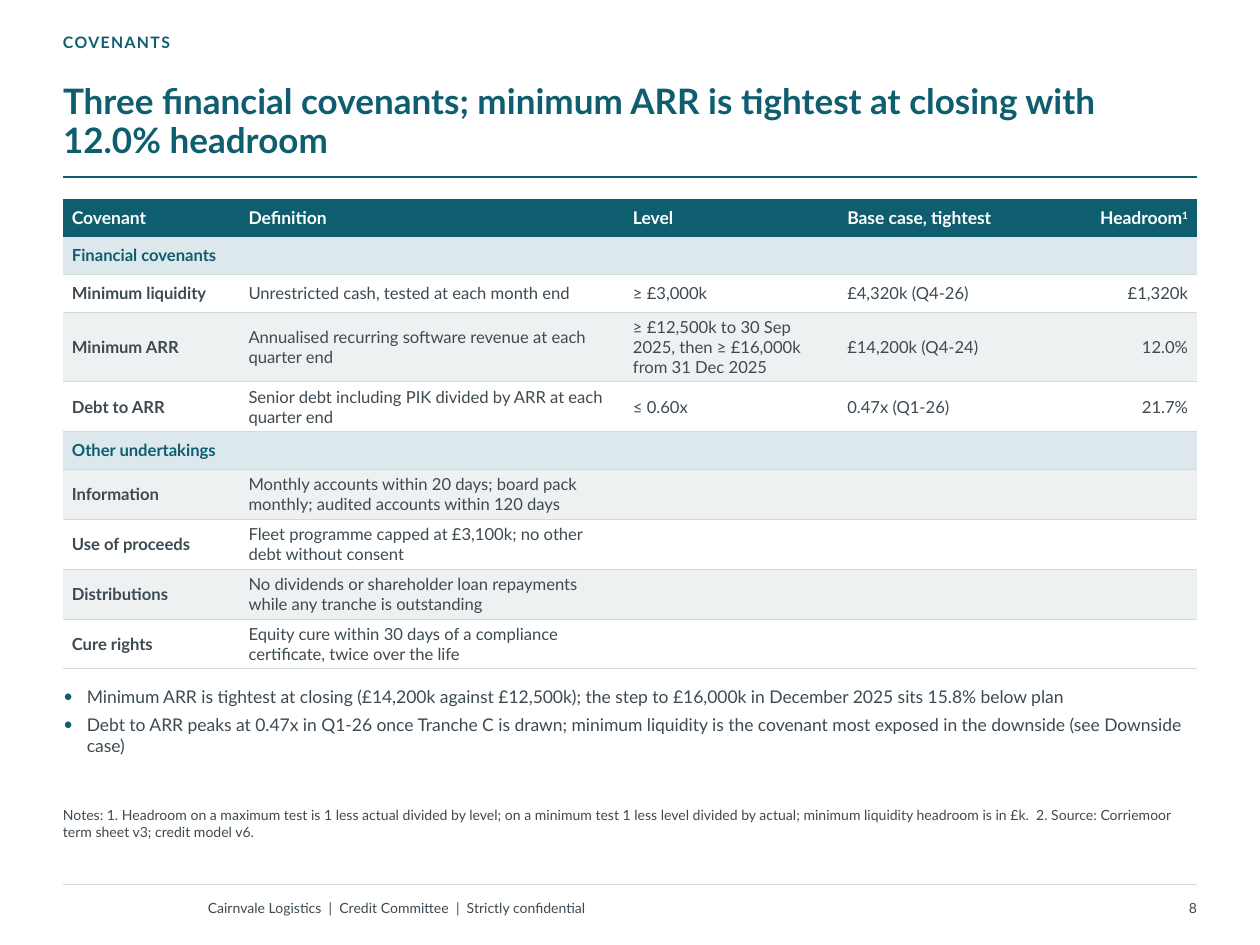
import pptx
import pptx.dml.color
import pptx.enum.shapes
import pptx.enum.text
import pptx.oxml
import pptx.oxml.ns
import pptx.util

Cm = pptx.util.Cm
Pt = pptx.util.Pt
RGBColor = pptx.dml.color.RGBColor
Align = pptx.enum.text.PP_ALIGN
Anchor = pptx.enum.text.MSO_ANCHOR

FONT = "Lato"
TEAL = RGBColor(0x0E, 0x5E, 0x6F)
SLATE = RGBColor(0x3D, 0x4A, 0x52)
WHITE = RGBColor(0xFF, 0xFF, 0xFF)
RULE = RGBColor(0xD3, 0xD9, 0xDC)
SECTION = RGBColor(0xDC, 0xE8, 0xEB)
BAND = RGBColor(0xEE, 0xF1, 0xF2)
PLAIN_TABLE = "{2D5ABB26-0587-4C30-8999-92F81FD0307C}"

KICKER = "COVENANTS"
TITLE = "Three financial covenants; minimum ARR is tightest at closing with 12.0% headroom"
HEADER = ("Covenant", "Definition", "Level", "Base case, tightest", "Headroom")
ROWS = [
    HEADER,
    ("Financial covenants",),
    ("Minimum liquidity", "Unrestricted cash, tested at each month end",
     "≥ £3,000k", "£4,320k (Q4-26)", "£1,320k"),
    ("Minimum ARR", "Annualised recurring software revenue at each quarter end",
     "≥ £12,500k to 30 Sep 2025, then ≥ £16,000k from 31 Dec 2025",
     "£14,200k (Q4-24)", "12.0%"),
    ("Debt to ARR", "Senior debt including PIK divided by ARR at each quarter end",
     "≤ 0.60x", "0.47x (Q1-26)", "21.7%"),
    ("Other undertakings",),
    ("Information",
     "Monthly accounts within 20 days; board pack monthly; audited accounts within 120 days"),
    ("Use of proceeds", "Fleet programme capped at £3,100k; no other debt without consent"),
    ("Distributions",
     "No dividends or shareholder loan repayments while any tranche is outstanding"),
    ("Cure rights", "Equity cure within 30 days of a compliance certificate, twice over the life"),
]
COLUMN_WIDTHS = (3.56, 7.75, 4.32, 4.06, 3.17)
ROW_HEIGHTS = (0.76, 0.76, 0.76, 1.4, 0.99, 0.76, 0.99, 0.99, 0.99, 0.99)
BULLETS = [
    "Minimum ARR is tightest at closing (£14,200k against £12,500k); the step to £16,000k "
    "in December 2025 sits 15.8% below plan",
    "Debt to ARR peaks at 0.47x in Q1-26 once Tranche C is drawn; minimum liquidity is the "
    "covenant most exposed in the downside (see Downside case)",
]
NOTES = ("Notes: 1. Headroom on a maximum test is 1 less actual divided by level; on a minimum "
         "test 1 less level divided by actual; minimum liquidity headroom is in £k.  "
         "2. Source: Corriemoor term sheet v3; credit model v6.")
FOOTER = "Cairnvale Logistics  |  Credit Committee  |  Strictly confidential"
PAGE_NUMBER = "8"
LEFT, WIDTH = 1.27, 22.86


def element(tag, **attributes):
    node = pptx.oxml.parse_xml(f"<a:{tag} {pptx.oxml.ns.nsdecls('a')}/>")
    for name, value in attributes.items():
        node.set(name, value)
    return node


def solid(tag, color, **attributes):
    node = element(tag, **attributes)
    holder = node if tag == "buClr" else element("solidFill")
    holder.append(element("srgbClr", val=str(color)))
    if holder is not node:
        node.append(holder)
    return node


def style(span, size, color, bold=False):
    span.font.name = FONT
    span.font.size = Pt(size)
    span.font.color.rgb = color
    span.font.bold = bold


def place(box, left, top, width, height):
    box.left, box.top, box.width, box.height = Cm(left), Cm(top), Cm(width), Cm(height)


def fill_text(box, text, size, color, bold=False, align=Align.LEFT, anchor=Anchor.TOP,
              margins=(0, 0, 0, 0)):
    frame = box.text_frame
    frame.word_wrap = True
    frame.auto_size = pptx.enum.text.MSO_AUTO_SIZE.NONE
    frame.vertical_anchor = anchor
    (frame.margin_left, frame.margin_top,
     frame.margin_right, frame.margin_bottom) = map(Cm, margins)
    frame.text = text
    for para in frame.paragraphs:
        para.alignment = align
        for span in para.runs:
            style(span, size, color, bold)
    return frame.paragraphs


def add_text(page, left, top, width, height, *content, **options):
    box = page.shapes.add_textbox(Cm(left), Cm(top), Cm(width), Cm(height))
    return fill_text(box, *content, **options)


def add_rule(page, top, color, weight):
    rule = page.shapes.add_connector(pptx.enum.shapes.MSO_CONNECTOR.STRAIGHT,
                                     Cm(LEFT), Cm(top), Cm(LEFT + WIDTH), Cm(top))
    rule.line.color.rgb = color
    rule.line.width = Pt(weight)
    rule._element.spPr.append(element("effectLst"))


def format_cell(cell, text, size, color, bold, fill, align, bordered):
    cell.vertical_anchor = Anchor.MIDDLE
    cell.margin_left = cell.margin_right = Cm(0.18)
    cell.margin_top = cell.margin_bottom = Cm(0.1)
    para = cell.text_frame.paragraphs[0]
    para.alignment = align
    if text:
        para.text = text
        style(para.runs[0], size, color, bold)
    else:
        para._p.append(element("endParaRPr", sz=str(int(size * 100))))
    if fill is None:
        cell.fill.background()
    else:
        cell.fill.solid()
        cell.fill.fore_color.rgb = fill
    if bordered:
        cell._tc.get_or_add_tcPr().insert(0, solid("lnB", RULE, w=str(Pt(0.5))))


def add_covenant_table(page):
    table = page.shapes.add_table(len(ROWS), len(HEADER), Cm(LEFT), Cm(4.01),
                                  Cm(WIDTH), Cm(sum(ROW_HEIGHTS))).table
    table.horz_banding = False
    table._tbl.tblPr.find(pptx.oxml.ns.qn("a:tableStyleId")).text = PLAIN_TABLE
    for column, width in zip(table.columns, COLUMN_WIDTHS):
        column.width = Cm(width)
    for index, (row, height) in enumerate(zip(ROWS, ROW_HEIGHTS)):
        table.rows[index].height = Cm(height)
        header, section = index == 0, len(row) == 1
        size = 10 if header else 9.5
        color = WHITE if header else TEAL if section else SLATE
        fill = TEAL if header else SECTION if section else BAND if index in (3, 6, 8) else None
        for number in range(len(HEADER)):
            text = row[number] if number < len(row) else ""
            align = Align.RIGHT if number == len(HEADER) - 1 else Align.LEFT
            format_cell(table.cell(index, number), text, size, color,
                        header or number == 0, fill, align, not header)
        if section:
            table.cell(index, 0).merge(table.cell(index, len(HEADER) - 1))
    mark = table.cell(0, len(HEADER) - 1).text_frame.paragraphs[0].add_run()
    mark.text = "1"
    style(mark, 10, WHITE, True)
    mark.font._element.set("baseline", "30000")


def main():
    deck = pptx.Presentation()
    deck.slide_width, deck.slide_height = Cm(25.4), Cm(19.05)
    page = deck.slides.add_slide(deck.slide_layouts[1])
    title, body = page.placeholders

    add_rule(page, 17.83, RULE, 0.75)
    add_rule(page, 3.56, TEAL, 1.25)
    kicker = add_text(page, LEFT, 0.66, 17.78, 0.61, KICKER, 9, TEAL, bold=True)[0]
    kicker.runs[0].font._element.set("spc", "80")

    place(title, LEFT, 1.27, WIDTH, 2.08)
    heading = fill_text(title, TITLE, 20, TEAL, bold=True, anchor=Anchor.BOTTOM,
                        margins=(0, 0, 0, 0.1))[0]
    heading.line_spacing = 0.92

    add_covenant_table(page)

    place(body, LEFT, 13.77, WIDTH, 2.29)
    paragraphs = fill_text(body, "\n".join(BULLETS), 10, SLATE, margins=(0, 0.05, 0, 0))
    for index, para in enumerate(paragraphs):
        properties = para._p.get_or_add_pPr()
        properties.set("marL", str(Cm(0.48)))
        properties.set("indent", str(-Cm(0.48)))
        properties.append(solid("buClr", TEAL))
        properties.append(element("buFont", typeface=FONT))
        properties.append(element("buChar", char="•"))
        para.space_before = Pt(4 if index else 0)

    add_text(page, LEFT, 16.26, WIDTH, 1.47, NOTES, 8, SLATE)
    add_text(page, 4.19, 17.98, 14.22, 0.66, FOOTER, 8, SLATE, anchor=Anchor.MIDDLE)
    add_text(page, 21.59, 17.98, 2.54, 0.66, PAGE_NUMBER, 8, SLATE,
             align=Align.RIGHT, anchor=Anchor.MIDDLE)
    deck.save("out.pptx")


if __name__ == "__main__":
    main()
